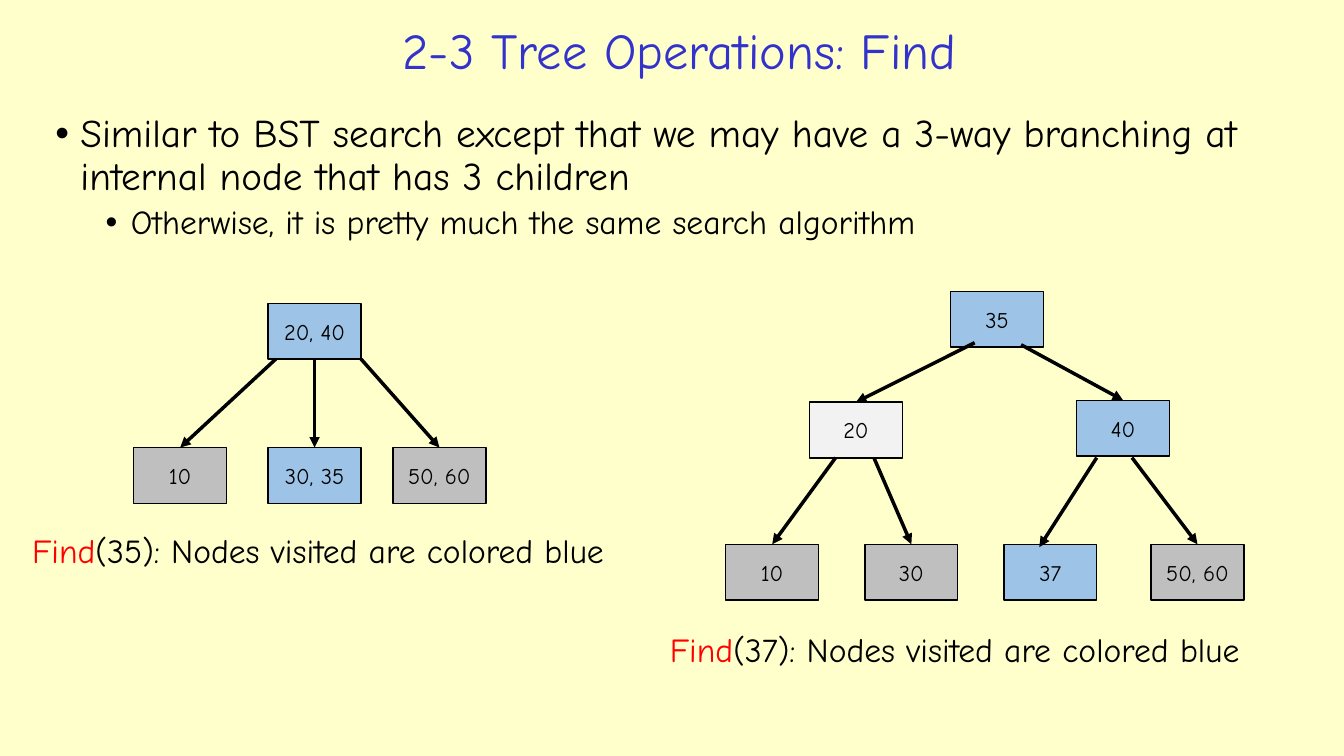
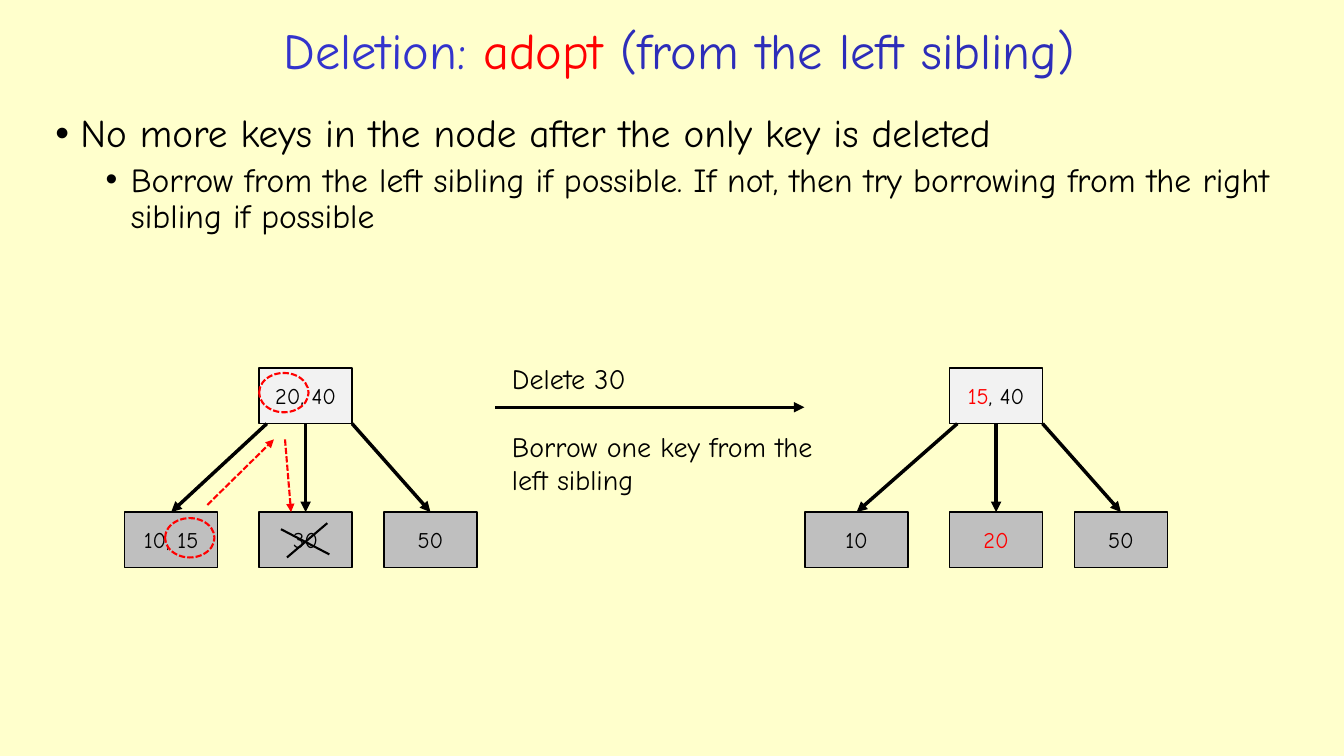
from lxml.etree import SubElement
from pptx import Presentation
from pptx.dml.color import RGBColor
from pptx.enum.dml import MSO_LINE
from pptx.enum.shapes import MSO_CONNECTOR, MSO_SHAPE
from pptx.enum.text import MSO_ANCHOR, PP_ALIGN
from pptx.oxml.ns import qn
from pptx.util import Pt

FONT = "Comic Neue"
COLORS = {
    "page": "FFFFCC", "title": "3333CC", "title_dark": "2D2DB9",
    "ink": "000000", "accent": "FF0000",
    "visited": "9DC3E6", "leaf": "BFBFBF", "inner": "F2F2F2",
}
NODE_WIDTH, NODE_HEIGHT = 66.4, 39.8
TITLE_ONLY = 5


def rgb(name):
    return RGBColor.from_string(COLORS[name])


def write_text(frame, spans, size, color="ink", align=PP_ALIGN.LEFT, anchor=MSO_ANCHOR.TOP,
               line_spacing=None, space_before=0, bullet_left=None, level=0, append=False):
    """Write one paragraph; spans is a string or a list of (text, color) pairs."""
    frame.word_wrap = True
    frame.vertical_anchor = anchor
    para = frame.add_paragraph() if append else frame.paragraphs[0]
    para.alignment = align
    para.level = level
    para.space_before = Pt(space_before)
    if line_spacing:
        para.line_spacing = line_spacing
    if bullet_left is not None:
        properties = para._p.get_or_add_pPr()
        properties.set("marL", str(Pt(bullet_left)))
        properties.set("indent", str(Pt(-18)))
        SubElement(properties, qn("a:buFont")).set("typeface", "Arial")
        SubElement(properties, qn("a:buChar")).set("char", "•")
    for text, span_color in [(spans, color)] if isinstance(spans, str) else spans:
        span = para.add_run()
        span.text = text
        span.font.name = FONT
        span.font.size = Pt(size)
        span.font.bold = False
        span.font.color.rgb = rgb(span_color)


def add_text_box(page, left, top, width, height):
    return page.shapes.add_textbox(Pt(left), Pt(top), Pt(width), Pt(height)).text_frame


def add_outline(shape, color, width, dashed=False):
    shape.line.color.rgb = rgb(color)
    shape.line.width = Pt(width)
    if dashed:
        shape.line.dash_style = MSO_LINE.SQUARE_DOT


def add_line(page, start, end, color="ink", width=2.5, dashed=False, arrow=True):
    line = page.shapes.add_connector(
        MSO_CONNECTOR.STRAIGHT, *(Pt(value) for value in (*start, *end)))
    add_outline(line, color, width, dashed)
    if arrow:
        SubElement(line.line._get_or_add_ln(), qn("a:tailEnd")).set("type", "triangle")
    SubElement(line._element.spPr, qn("a:effectLst"))


def add_node(page, left, top, label, fill, width=NODE_WIDTH):
    node = page.shapes.add_shape(
        MSO_SHAPE.RECTANGLE, Pt(left), Pt(top), Pt(width), Pt(NODE_HEIGHT))
    node.shadow.inherit = False
    node.fill.solid()
    node.fill.fore_color.rgb = rgb(fill)
    add_outline(node, "ink", 1)
    write_text(node.text_frame, label, size=16, align=PP_ALIGN.CENTER, anchor=MSO_ANCHOR.MIDDLE)


def add_ring(page, left, top):
    """Circle one key of a node."""
    ring = page.shapes.add_shape(MSO_SHAPE.OVAL, Pt(left), Pt(top), Pt(35.3), Pt(28.1))
    ring.shadow.inherit = False
    ring.fill.background()
    add_outline(ring, "accent", 1.5, dashed=True)


def add_three_way_tree(page, left, top, root, leaves, first_extra=0):
    """Root over three leaves; first_extra widens the first leaf to the left."""
    leaf_top = top + 103
    root_left = left + 96
    root_bottom = top + NODE_HEIGHT
    add_node(page, root_left, top, *root)
    exits = (root_left + 5.5, root_left + NODE_WIDTH / 2, root_left + NODE_WIDTH)
    for index, (offset, leaf, exit_x) in enumerate(zip((0, 96, 185.2), leaves, exits)):
        extra = 0 if index else first_extra
        leaf_left, width = left + offset - extra, NODE_WIDTH + extra
        add_node(page, leaf_left, leaf_top, *leaf, width=width)
        add_line(page, (exit_x, root_bottom), (leaf_left + width / 2, leaf_top))


def add_binary_tree(page, left, top):
    leaf_top = 180.7
    # label, fill, left, top, start of the link from the parent, shift of the arrow tip
    nodes = [
        ("35", "visited", 160.6, 0, None, None),
        ("20", "inner", 59.8, 79.2, (177.8, 36.7), (0, 0)),
        ("40", "visited", 250.6, 77.8, (211, 38.2), (0, 0)),
        ("10", "leaf", 0, leaf_top, (78.5, 118.8), (0, 0)),
        ("30", "leaf", 99.4, leaf_top, (105.8, 118.8), (0, 0)),
        ("37", "visited", 198.7, leaf_top, (265, 118.8), (-7.9, 2)),
        ("50, 60", "leaf", 303.8, leaf_top, (290.2, 118.8), (0, 0)),
    ]
    for label, fill, x, y, _, _ in nodes:
        add_node(page, left + x, top + y, label, fill)
    for _, _, x, y, start, shift in nodes[1:]:
        tip = (left + x + NODE_WIDTH / 2 + shift[0], top + y + shift[1])
        add_line(page, (left + start[0], top + start[1]), tip)


def add_caption(page, left, top, key):
    spans = [("Find", "accent"), (f"({key}): Nodes visited are colored blue", "ink")]
    write_text(add_text_box(page, left, top, 469, 58), spans, size=24, line_spacing=0.9)


def add_page(deck, title, point, detail):
    """Add a slide with its title, one bullet and one bullet below it."""
    page = deck.slides.add_slide(deck.slide_layouts[TITLE_ONLY])
    heading = page.shapes.title
    heading.left, heading.top, heading.width, heading.height = (
        Pt(141.8), Pt(10.8), Pt(686.9), Pt(54.7))
    write_text(heading.text_frame, title, size=36, color="title",
               align=PP_ALIGN.CENTER, anchor=MSO_ANCHOR.MIDDLE, line_spacing=0.9)
    body = add_text_box(page, 32.4, 77.8, 903.6, 110.2)
    write_text(body, point, size=28, line_spacing=0.9, bullet_left=18)
    write_text(body, detail, size=24, line_spacing=0.9, bullet_left=54,
               space_before=5, level=1, append=True)
    return page


def add_deletion_step(page, left, top):
    """Arrow between the two trees, with the words above and below it."""
    add_line(page, (left, top + 36), (left + 221, top + 36))
    words = add_text_box(page, left + 5, top, 229.7, 104.4)
    write_text(words, "Delete 30", size=20)
    write_text(words, "Borrow one key from the left sibling", size=20,
               space_before=24, append=True)


def add_adoption_marks(page, left, top):
    """Rings, moves and the cross over the tree at left, top."""
    add_ring(page, left + 96, top + 3.6)
    add_ring(page, left + 28.8, top + 107.3)
    strokes = [((111.6, 115.2), (146.2, 133.2)), ((144.7, 110.9), (115.9, 135.4))]
    moves = [((59, 97.9), (106.6, 51.1)), ((114.5, 51.1), (118.8, 103))]
    for lines, style in ((strokes, {"arrow": False}),
                         (moves, {"color": "accent", "dashed": True})):
        for start, end in lines:
            add_line(page, (left + start[0], top + start[1]),
                     (left + end[0], top + end[1]), width=1.5, **style)


def build_find(deck):
    page = add_page(
        deck, "2-3 Tree Operations: Find",
        "Similar to BST search except that we may have a 3-way branching at "
        "internal node that has 3 children",
        "Otherwise, it is pretty much the same search algorithm")
    add_three_way_tree(page, 95.5, 216.7, ("20, 40", "visited"),
                       [("10", "leaf"), ("30, 35", "visited"), ("50, 60", "leaf")])
    add_caption(page, 15.8, 378, 35)
    add_binary_tree(page, 518.4, 208.1)
    add_caption(page, 471.4, 449.3, 37)


def build_deletion(deck):
    page = add_page(
        deck,
        [("Deletion: ", "title"), ("adopt ", "accent"),
         ("(from the left sibling)", "title_dark")],
        "No more keys in the node after the only key is deleted",
        "Borrow from the left sibling if possible. If not, then try borrowing "
        "from the right sibling if possible")
    tree_top = 262.8
    add_three_way_tree(page, 89.1, tree_top, ("20, 40", "inner"),
                       [("10, 15", "leaf"), ("30", "leaf"), ("50", "leaf")])
    add_deletion_step(page, 353.6, 254.9)
    add_three_way_tree(page, 582.3, tree_top, ([("15", "accent"), (", 40", "ink")], "inner"),
                       [("10", "leaf"), ([("20", "accent")], "leaf"), ("50", "leaf")],
                       first_extra=7.2)
    add_adoption_marks(page, 89.1, tree_top)


def main():
    deck = Presentation()
    deck.slide_width, deck.slide_height = Pt(960), Pt(540)
    background = deck.slide_master.background.fill
    background.solid()
    background.fore_color.rgb = rgb("page")
    build_find(deck)
    build_deletion(deck)
    deck.save("out.pptx")


if __name__ == "__main__":
    main()
